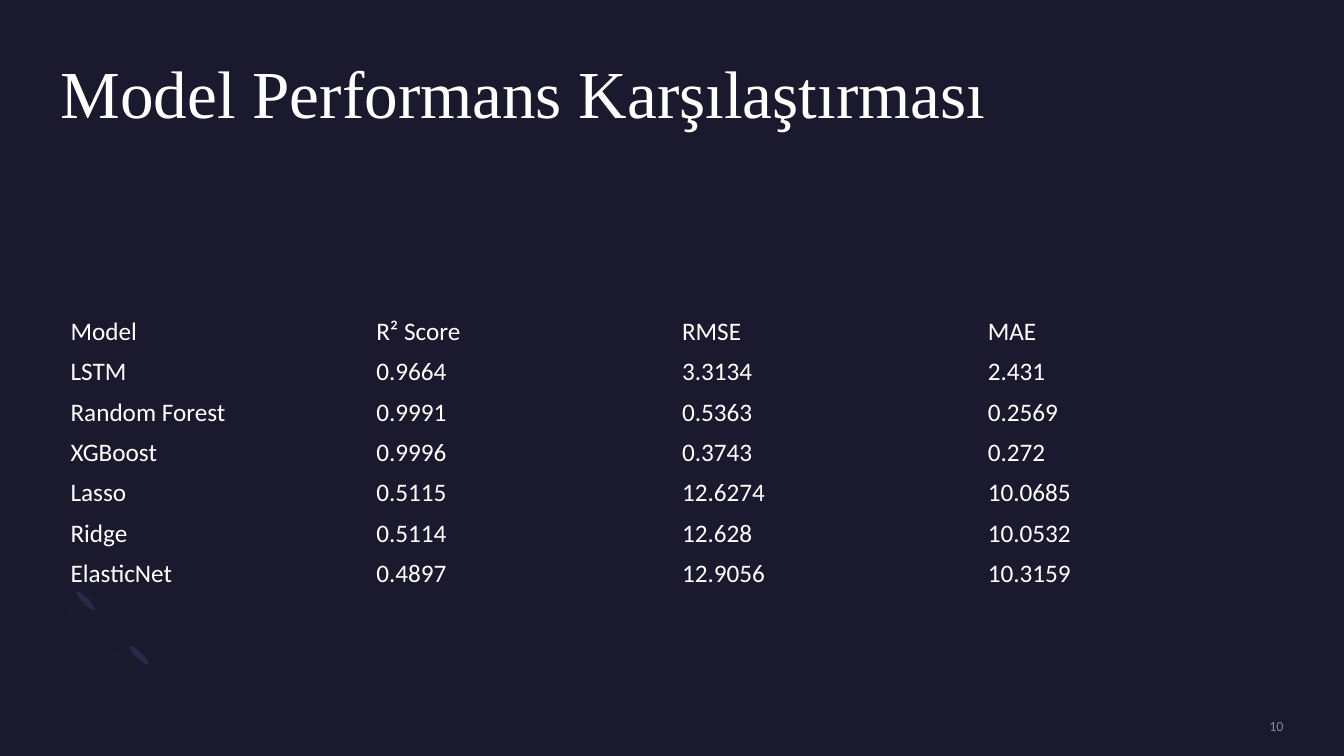
from lxml.etree import SubElement
from pptx import Presentation
from pptx.dml.color import RGBColor
from pptx.enum.shapes import MSO_SHAPE
from pptx.enum.text import MSO_ANCHOR, PP_ALIGN
from pptx.oxml.ns import qn
from pptx.util import Pt

# Content
TITLE = "Model Performans Karşılaştırması"
PAGE = "10"
ROWS = [
    ("Model", "R² Score", "RMSE", "MAE"),
    ("LSTM", "0.9664", "3.3134", "2.431"),
    ("Random Forest", "0.9991", "0.5363", "0.2569"),
    ("XGBoost", "0.9996", "0.3743", "0.272"),
    ("Lasso", "0.5115", "12.6274", "10.0685"),
    ("Ridge", "0.5114", "12.628", "10.0532"),
    ("ElasticNet", "0.4897", "12.9056", "10.3159"),
]
LEFT, WIDE = 43.2, 873.6
TABLE_TOP, ROW_H = 222.5, 28.8
PLAIN_STYLE = "{2D5ABB26-0587-4C30-8999-92F81FD0307C}"

# Ring ornament: end caps, then the band as a start point and its pieces
# (one point for a line, three for a curve)
CAPS = [(97.2, 458.6), (59, 419.8)]
START = (54.7, 474.5)
BAND = [
    [(40.3, 460.1), (41.8, 435.6), (58.3, 419)],
    [(71.3, 432)],
    [(62.6, 439.9), (61.9, 452.9), (69.1, 459.4)],
    [(76.3, 466.6), (88.6, 465.8), (97.2, 457.9)],
    [(109.4, 470.9)],
    [(93.6, 486.7), (68.4, 488.9), START],
]
STEPS = 12


def paint(color, tone, alpha=100):
    color.rgb = RGBColor.from_string(tone)
    if alpha < 100:
        node = color._xFill.find(qn("a:srgbClr"))
        SubElement(node, qn("a:alpha")).set("val", str(alpha * 1000))


def write(frame, text, size=18, face="Calibri", tone="FFFFFF", alpha=100,
          align=PP_ALIGN.LEFT, space=None):
    para = frame.paragraphs[0]
    para.alignment = align
    para.line_spacing = space
    run = para.add_run()
    run.text = text
    run.font.size, run.font.name = Pt(size), face
    paint(run.font.color, tone, alpha)


def label(text, x, y, w, h, anchor=MSO_ANCHOR.TOP, **style):
    frame = slide.shapes.add_textbox(Pt(x), Pt(y), Pt(w), Pt(h)).text_frame
    frame.margin_left = frame.margin_right = 0
    frame.margin_top = frame.margin_bottom = 0
    frame.word_wrap, frame.vertical_anchor = True, anchor
    write(frame, text, **style)


def finish(shape, tone, alpha=100):
    shape.shadow.inherit = False
    shape.line.fill.background()
    shape.fill.solid()
    paint(shape.fill.fore_color, tone, alpha)


def trace(start, parts):
    """Turn lines and cubic curves into a list of points."""
    dots = [start]
    for part in parts:
        if len(part) == 1:
            dots += part
            continue
        curve = [dots[-1], *part]
        for n in range(1, STEPS + 1):
            t = n / STEPS
            mix = ((1 - t) ** 3, 3 * t * (1 - t) ** 2,
                   3 * t * t * (1 - t), t ** 3)
            dots.append(tuple(sum(m * p[i] for m, p in zip(mix, curve))
                              for i in (0, 1)))
    return dots


# Slide and background
deck = Presentation()
deck.slide_width, deck.slide_height = Pt(960), Pt(540)
slide = deck.slides.add_slide(deck.slide_layouts[6])
slide.background.fill.solid()
paint(slide.background.fill.fore_color, "1B192E")

# Ring ornament, its band almost clear
for x, y in CAPS:
    cap = slide.shapes.add_shape(MSO_SHAPE.OVAL, Pt(x), Pt(y), Pt(4.3), Pt(18.7))
    cap.rotation = 135
    finish(cap, "2C284A")
dots = [(Pt(x), Pt(y)) for x, y in trace(START, BAND)]
pen = slide.shapes.build_freeform(*dots[0])
pen.add_line_segments(dots[1:], close=True)
finish(pen.convert_to_shape(), "7771B2", alpha=1)

# Title and page number
label(TITLE, LEFT, 43.2, WIDE, 105, size=48, face="Times New Roman", space=0.9)
label(PAGE, 783.4, 512.6, 133.4, 12.2, anchor=MSO_ANCHOR.MIDDLE, size=10,
      tone="A6A6A6", alpha=80, align=PP_ALIGN.RIGHT)

# Table
table = slide.shapes.add_table(
    len(ROWS), len(ROWS[0]), Pt(LEFT), Pt(TABLE_TOP),
    Pt(WIDE), Pt(ROW_H * len(ROWS))).table
table.first_row = table.horz_banding = False
table._tbl.tblPr.find(qn("a:tableStyleId")).text = PLAIN_STYLE
for r, row in enumerate(ROWS):
    for c, text in enumerate(row):
        cell = table.cell(r, c)
        cell.fill.background()
        cell.vertical_anchor = MSO_ANCHOR.MIDDLE
        write(cell.text_frame, text)

deck.save("out.pptx")
